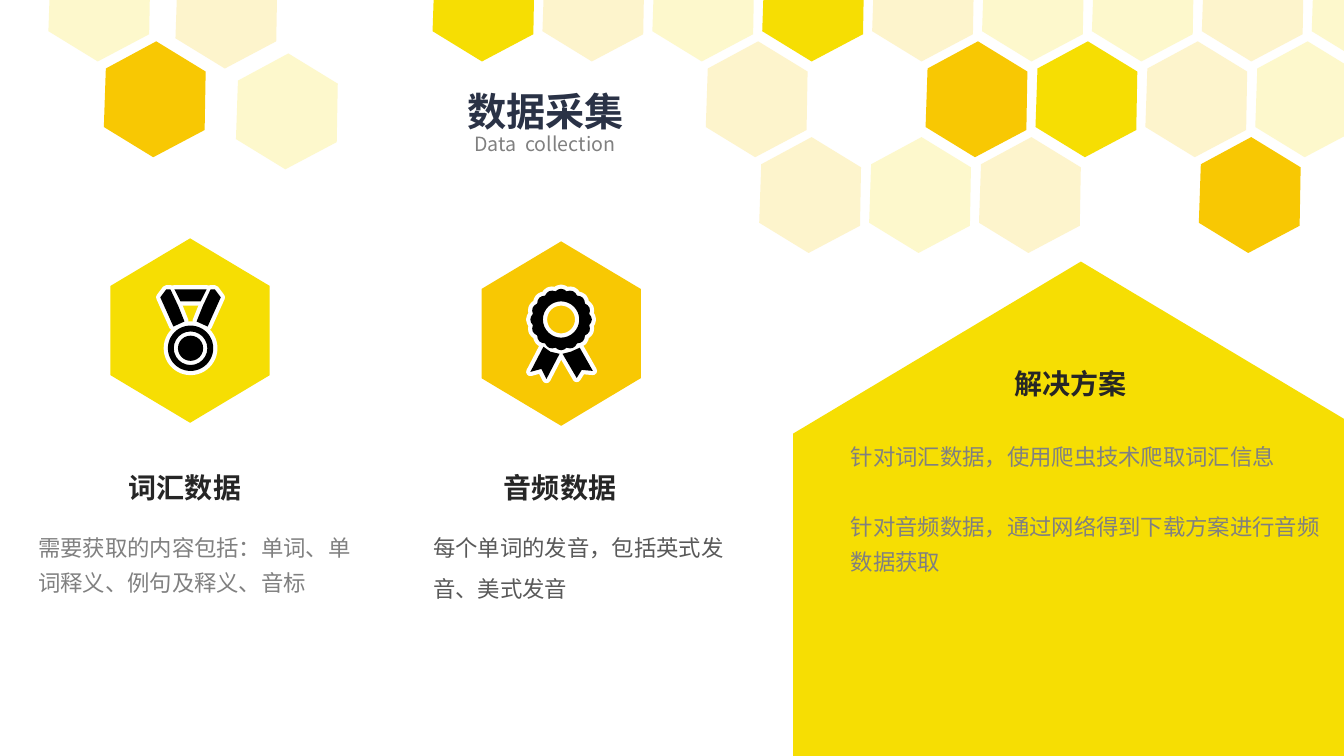
"""Build the data collection slide with its honeycomb header, two topics and a solution panel."""
from dataclasses import dataclass
from math import cos, pi, sin

from lxml.etree import SubElement
from pptx import Presentation
from pptx.dml.color import RGBColor
from pptx.enum.shapes import MSO_SHAPE
from pptx.enum.text import PP_ALIGN
from pptx.oxml.ns import qn
from pptx.util import Inches, Pt


@dataclass(frozen=True)
class Theme:
    font: str = "Noto Sans CJK SC"
    yellow: str = "F6DE03"
    orange: str = "F8C803"
    navy: str = "2A3246"
    dark: str = "262626"
    medium: str = "595959"
    gray: str = "808080"
    black: str = "000000"
    white: str = "FFFFFF"
    title: int = 28
    heading: int = 20
    body: int = 16
    subtitle: int = 14


THEME = Theme()

LARGE_HEXAGONS = [
    (7.41, 3.05, 6.62, 5.71, THEME.yellow),
    (4.65, 2.52, 1.83, 1.58, THEME.orange),
    (0.97, 2.49, 1.83, 1.58, THEME.yellow),
]

CELL_COLORS = {
    "Y": (THEME.yellow, 100),
    "O": (THEME.orange, 100),
    "y": (THEME.yellow, 20),
    "o": (THEME.orange, 20),
}
CELL_STEP = 1.09
CELL_OUTLINE = [(0.49, 1.15), (0, 0.85), (0.02, 0.27), (0.52, 0), (1.01, 0.3), (1, 0.88)]
HONEYCOMB_ROWS = [
    (4.29, -0.54, "YoyYoyyoy"),
    (7.0, 0.41, "o.OYoy"),
    (7.53, 1.36, "oyo.O"),
    (0.48, -0.54, "y"),
    (1.03, 0.41, "O"),
    (1.74, -0.47, "o"),
    (2.34, 0.53, "y"),
]

TEXTS = [
    (4.9, 4.62, 2.75, 0.44, ["音频数据"], THEME.heading, THEME.dark, True, 1, PP_ALIGN.LEFT),
    (4.2, 5.12, 3.26, 0.87, ["每个单词的发音，包括英式发音、美式发音"],
     THEME.body, THEME.medium, False, 1.5, PP_ALIGN.LEFT),
    (1.18, 4.62, 2.75, 0.44, ["词汇数据"], THEME.heading, THEME.dark, True, 1, PP_ALIGN.LEFT),
    (0.28, 5.17, 3.36, 0.77, ["需要获取的内容包括：单词、单词释义、例句及释义、音标"],
     THEME.body, THEME.gray, False, 1.3, PP_ALIGN.LEFT),
    (3.84, 0.72, 3.14, 0.63, ["数据采集"], THEME.title, THEME.navy, True, 1.2, PP_ALIGN.CENTER),
    (2.8, 1.21, 5.21, 0.36, ["Data  collection"],
     THEME.subtitle, THEME.gray, False, 1.2, PP_ALIGN.CENTER),
    (9.96, 3.59, 2.75, 0.44, ["解决方案"], THEME.heading, THEME.dark, True, 1, PP_ALIGN.LEFT),
    (8.34, 4.27, 4.88, 1.47,
     ["针对词汇数据，使用爬虫技术爬取词汇信息", "针对音频数据，通过网络得到下载方案进行音频数据获取"],
     THEME.body, THEME.gray, False, 1.3, PP_ALIGN.LEFT),
]
PARAGRAPH_GAP = 25

MEDAL_CENTER = (1.89, 3.455)
MEDAL_DISCS = [(MSO_SHAPE.DONUT, 0.225, 0.13), (MSO_SHAPE.OVAL, 0.125, None)]
MEDAL_RIBBON = [
    [(1.73, 2.87), (2.05, 2.87), (1.99, 2.99), (1.79, 2.99)],
    [(2.09, 2.87), (2.13, 2.87), (2.19, 2.95), (2.06, 3.24), (1.95, 3.19), (2.01, 3.04)],
    [(1.65, 2.87), (1.69, 2.87), (1.77, 3.04), (1.83, 3.19), (1.72, 3.24), (1.59, 2.95)],
]
ROSETTE_CENTER = (5.565, 3.17)
ROSETTE_TAILS = [
    [(5.75, 3.45), (5.88, 3.68), (5.77, 3.67), (5.72, 3.75), (5.58, 3.51), (5.66, 3.49)],
    [(5.39, 3.44), (5.26, 3.69), (5.37, 3.66), (5.42, 3.76), (5.55, 3.51), (5.46, 3.49)],
]


def ring(center, radius, steps, lobes=0, lobe_height=0.0):
    """Return a circle, or a scalloped circle when lobes are given."""
    points = []
    for step in range(steps):
        angle = 2 * pi * step / steps
        reach = radius + lobe_height * abs(cos(lobes * angle / 2))
        points.append((center[0] + reach * cos(angle), center[1] + reach * sin(angle)))
    return points


ROSETTE = [ring(ROSETTE_CENTER, 0.18, 32), ring(ROSETTE_CENTER, 0.285, 64, 16, 0.02)] + ROSETTE_TAILS


def paint(shape, color, opacity=100, line_width=0):
    """Give a shape a flat fill and an optional line of the same color."""
    shape.shadow.inherit = False
    shape.fill.solid()
    shape.fill.fore_color.rgb = RGBColor.from_string(color)
    if opacity < 100:
        color_element = shape.fill._xPr.find(qn("a:solidFill"))[0]
        SubElement(color_element, qn("a:alpha")).set("val", str(opacity * 1000))
    if line_width:
        shape.line.color.rgb = RGBColor.from_string(color)
        shape.line.width = Pt(line_width)
    else:
        shape.line.fill.background()


def add_preset(slide, preset, left, top, width, height, adjustment=None):
    """Add a preset shape, with its first adjustment when given."""
    shape = slide.shapes.add_shape(preset, Inches(left), Inches(top), Inches(width), Inches(height))
    if adjustment is not None:
        shape.adjustments[0] = adjustment
    return shape


def add_outline(slide, contours):
    """Draw closed contours as a single freeform."""
    contours = [[(Inches(x), Inches(y)) for x, y in contour] for contour in contours]
    builder = slide.shapes.build_freeform(*contours[0][0])
    for index, contour in enumerate(contours):
        if index:
            builder.move_to(*contour[0])
        builder.add_line_segments(contour[1:], close=True)
    return builder.convert_to_shape()


def add_icons(slide, color, line_width):
    """Draw one layer of the medal and the rosette."""
    for contours in (ROSETTE, MEDAL_RIBBON):
        paint(add_outline(slide, contours), color, line_width=line_width)
    for preset, radius, adjustment in MEDAL_DISCS:
        left, top = (middle - radius for middle in MEDAL_CENTER)
        disc = add_preset(slide, preset, left, top, 2 * radius, 2 * radius, adjustment)
        paint(disc, color, line_width=line_width)


def add_text(slide, left, top, width, height, lines, size, color, bold, spacing, alignment):
    """Add a wrapping text box with one paragraph per line."""
    box = slide.shapes.add_textbox(Inches(left), Inches(top), Inches(width), Inches(height))
    text_frame = box.text_frame
    text_frame.word_wrap = True
    text_frame.text = "\n".join(lines)
    for index, paragraph in enumerate(text_frame.paragraphs):
        paragraph.alignment = alignment
        paragraph.line_spacing = spacing
        if index:
            paragraph.space_before = Pt(PARAGRAPH_GAP)
        for run in paragraph.runs:
            run.font.size = Pt(size)
            run.font.bold = bold
            run.font.name = THEME.font
            run.font.color.rgb = RGBColor.from_string(color)
            SubElement(run.font._element, qn("a:ea")).set("typeface", THEME.font)


presentation = Presentation()
presentation.slide_width = Inches(13.33)
presentation.slide_height = Inches(7.5)
slide = presentation.slides.add_slide(presentation.slide_layouts[6])

for left, top, width, height, color in LARGE_HEXAGONS:
    hexagon = add_preset(slide, MSO_SHAPE.HEXAGON, left, top, width, height, 0.299)
    hexagon.rotation = 90
    paint(hexagon, color)

for row_left, row_top, pattern in HONEYCOMB_ROWS:
    for column, cell in enumerate(pattern):
        if cell in CELL_COLORS:
            cell_left = row_left + column * CELL_STEP
            outline = [(cell_left + x, row_top + y) for x, y in CELL_OUTLINE]
            paint(add_outline(slide, [outline]), *CELL_COLORS[cell])

for color, line_width in ((THEME.white, 6), (THEME.black, 0)):
    add_icons(slide, color, line_width)

for text in TEXTS:
    add_text(slide, *text)

presentation.save("out.pptx")
